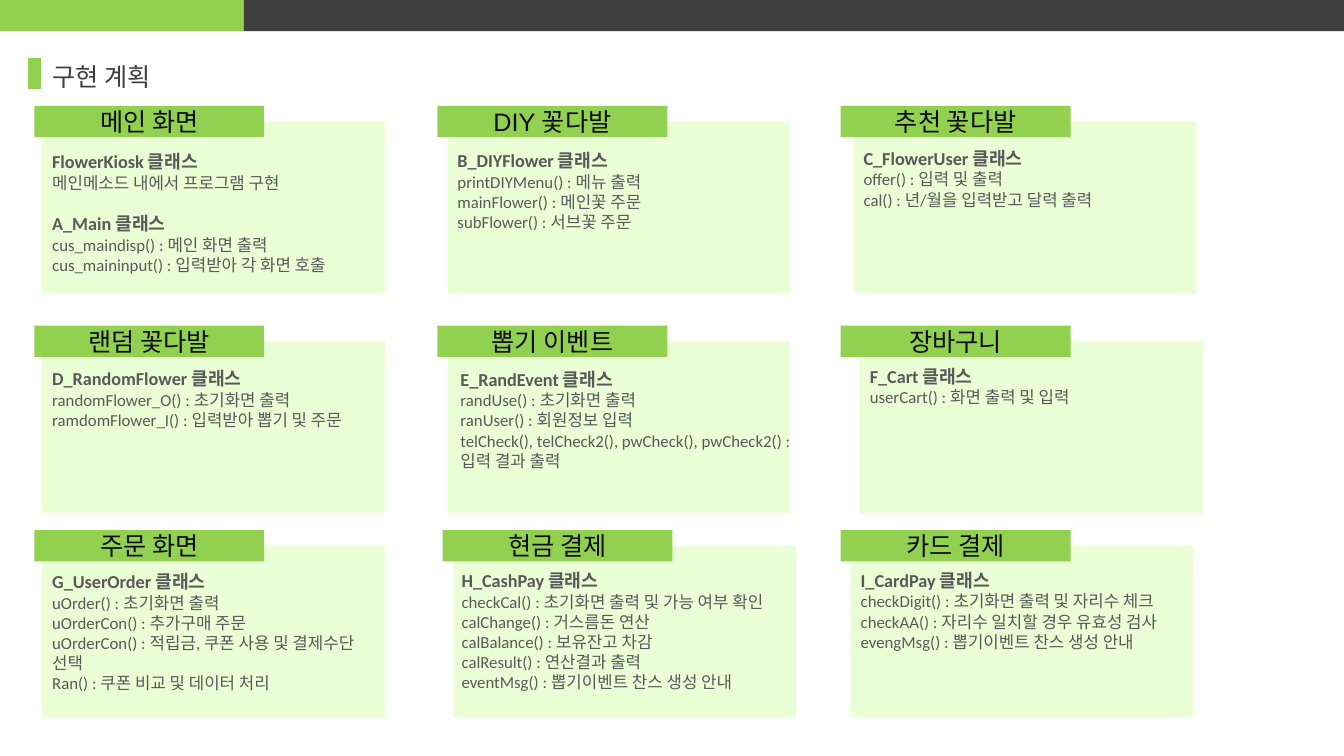
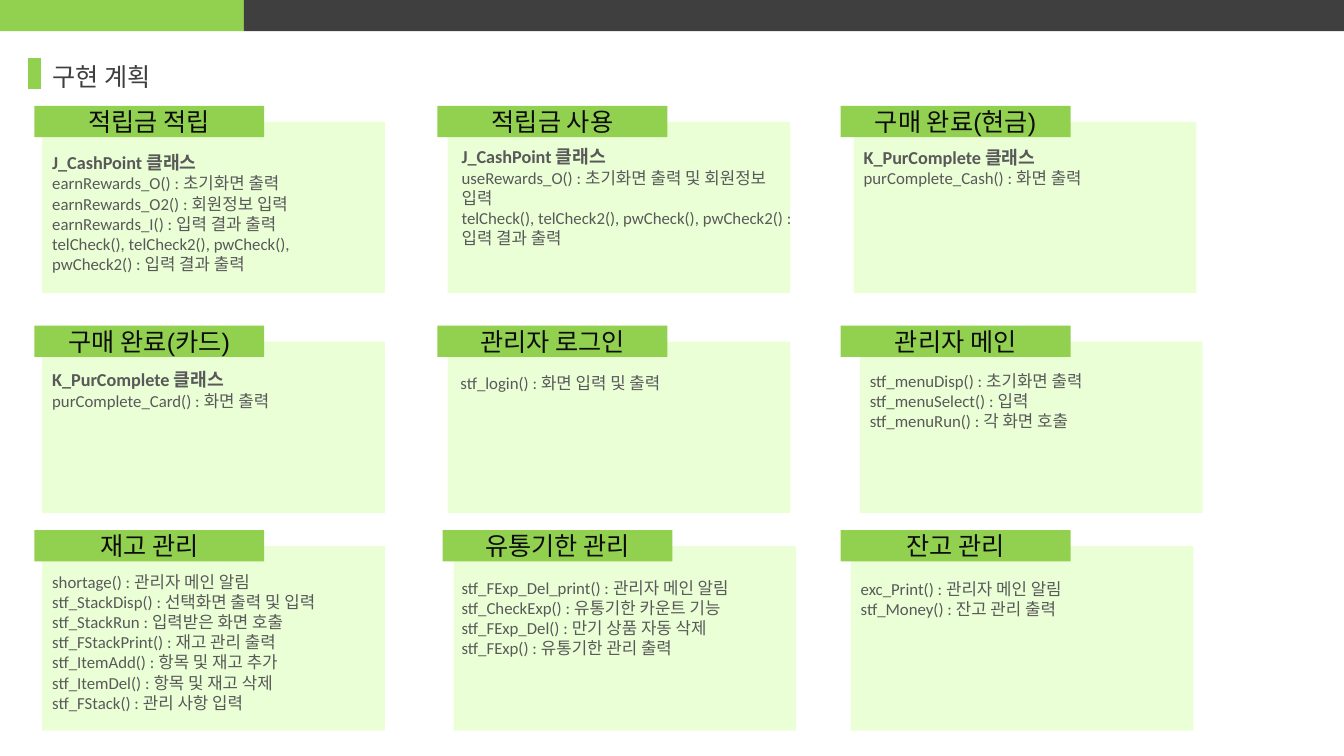
import pptx
import pptx.dml.color
import pptx.enum.shapes
import pptx.enum.text
import pptx.oxml.ns
import pptx.util
import lxml.etree

Pt = pptx.util.Pt
RGBColor = pptx.dml.color.RGBColor
ALIGN = pptx.enum.text.PP_ALIGN
MIDDLE = pptx.enum.text.MSO_ANCHOR.MIDDLE
qn = pptx.oxml.ns.qn

GREEN = RGBColor(0x92, 0xD0, 0x50)
PALE_GREEN = RGBColor(0xCC, 0xFF, 0x99)
CHARCOAL = RGBColor(0x3F, 0x3F, 0x3F)
BLACK = RGBColor(0x0C, 0x0C, 0x0C)
GREY = RGBColor(0x59, 0x59, 0x59)

TITLE = {"name": "Arial", "size": Pt(18), "color": CHARCOAL}
TAB = {"name": "Arial", "size": Pt(18), "color": BLACK}
CLASS_NAME = {"name": "Calibri", "size": Pt(13), "color": GREY, "bold": True}
METHOD = {"name": "Calibri", "size": Pt(12), "color": GREY, "bold": False}

WIDTH, HEIGHT = 960, 540
BAND_SPLIT, BAND_HEIGHT = 174.2, 22.3
TAB_WIDTH, TAB_HEIGHT = 164.2, 22.3
PANEL_WIDTH, PANEL_HEIGHT, PANEL_DROP = 244.8, 122.4, 11.5
LINE_GAP = 14.5
ROW_TOPS = (75.6, 232.6, 378.7)
TAB_LEFTS = ((24.5, 312.5, 600.5), (24.5, 312.5, 600.5), (24.5, 316.1, 600.5))
PANEL_LEFTS = ((30.2, 319.7, 609.8), (30.2, 319.7, 614.2), (30.2, 324, 607.7))


class Board:
    """Holds the deck, its style and the current slide."""

    def __init__(self):
        """Start an empty widescreen deck."""
        self.deck = pptx.Presentation()
        self.deck.slide_width, self.deck.slide_height = Pt(WIDTH), Pt(HEIGHT)
        self.page = None

    def rectangle(self, left, top, width, height, color, opacity=None):
        """Draw a plain filled rectangle, optionally see-through."""
        box = self.page.shapes.add_shape(
            pptx.enum.shapes.MSO_SHAPE.RECTANGLE,
            Pt(left), Pt(top), Pt(width), Pt(height))
        box.shadow.inherit = False
        box.line.fill.background()
        box.fill.solid()
        box.fill.fore_color.rgb = color
        if opacity is not None:
            tint = box._element.spPr.find(".//" + qn("a:srgbClr"))
            lxml.etree.SubElement(tint, qn("a:alpha"), val=str(opacity * 1000))
        return box

    def fill_text(self, box, lines, align=ALIGN.LEFT):
        """Fill a box with (text, format) lines, a gap before each later class."""
        frame = box.text_frame
        frame.word_wrap = True
        frame.vertical_anchor = MIDDLE
        for index, (text, style) in enumerate(lines):
            para = frame.add_paragraph() if index else frame.paragraphs[0]
            para.alignment = align
            if index and style is CLASS_NAME:
                para.space_before = Pt(LINE_GAP)
            span = para.add_run()
            span.text = text
            for key, value in style.items():
                if key == "color":
                    span.font.color.rgb = value
                else:
                    setattr(span.font, key, value)

    def text(self, left, top, width, height, lines):
        """Add a text box and return it."""
        box = self.page.shapes.add_textbox(
            Pt(left), Pt(top), Pt(width), Pt(height))
        self.fill_text(box, lines)
        return box

    def marker(self, left, top, bottom):
        """Draw the thick upright line beside the title."""
        line = self.page.shapes.add_connector(
            pptx.enum.shapes.MSO_CONNECTOR.STRAIGHT,
            Pt(left), Pt(top), Pt(left), Pt(bottom))
        line.line.color.rgb = GREEN
        line.line.width = Pt(9)
        lxml.etree.SubElement(line._element.spPr, qn("a:effectLst"))

    def new_page(self, title):
        """Start a slide with the top bands and the title."""
        self.page = self.deck.slides.add_slide(self.deck.slide_layouts[6])
        self.rectangle(0, 0, BAND_SPLIT, BAND_HEIGHT, GREEN)
        self.rectangle(BAND_SPLIT, 0, WIDTH - BAND_SPLIT, BAND_HEIGHT, CHARCOAL)
        frame = self.text(37.4, 23, 334, 63.4, [(title, TITLE)]).text_frame
        for side in ("left", "top", "right", "bottom"):
            setattr(frame, "margin_" + side, 0)
        self.marker(24.5, 41.8, 63.4)

    def card(self, row, column, panel_height, heading, area, lines):
        """Draw a panel, its heading tab and its list of methods."""
        top = ROW_TOPS[row]
        self.rectangle(PANEL_LEFTS[row][column], top + PANEL_DROP,
                       PANEL_WIDTH, panel_height, PALE_GREEN, opacity=40)
        tab = self.rectangle(TAB_LEFTS[row][column], top,
                             TAB_WIDTH, TAB_HEIGHT, GREEN)
        self.fill_text(tab, [(heading, TAB)], ALIGN.CENTER)
        self.text(*area, [
            (line, CLASS_NAME if line.endswith("클래스") else METHOD)
            for line in lines])


# Each card: heading, text area (left, top, width, height), lines
SCREENS = [
    ("메인 화면", (30.2, 104.4, 229, 95), [
        "FlowerKiosk 클래스",
        "메인메소드 내에서 프로그램 구현",
        "A_Main 클래스",
        "cus_maindisp() : 메인 화면 출력",
        "cus_maininput() : 입력받아 각 화면 호출"]),
    ("DIY 꽃다발", (319.7, 104.4, 272.9, 63.4), [
        "B_DIYFlower 클래스",
        "printDIYMenu() : 메뉴 출력",
        "mainFlower() : 메인꽃 주문",
        "subFlower() : 서브꽃 주문"]),
    ("추천 꽃다발", (609.8, 104.4, 272.9, 46.1), [
        "C_FlowerUser 클래스",
        "offer() : 입력 및 출력",
        "cal() : 년/월을 입력받고 달력 출력"]),
    ("랜덤 꽃다발", (30.2, 258.5, 272.9, 52.6), [
        "D_RandomFlower 클래스",
        "randomFlower_O() : 초기화면 출력",
        "ramdomFlower_I() : 입력받아 뽑기 및 주문"]),
    ("뽑기 이벤트", (321.8, 258.5, 272.9, 82.1), [
        "E_RandEvent 클래스",
        "randUse() : 초기화면 출력",
        "ranUser() : 회원정보 입력",
        "telCheck(), telCheck2(), pwCheck(), pwCheck2() : 입력 결과 출력"]),
    ("장바구니", (614.2, 258.5, 272.9, 34.6), [
        "F_Cart 클래스",
        "userCart() : 화면 출력 및 입력"]),
    ("주문 화면", (30.2, 410.4, 272.9, 82.1), [
        "G_UserOrder 클래스",
        "uOrder() : 초기화면 출력",
        "uOrderCon() : 추가구매 주문",
        "uOrderCon() : 적립금, 쿠폰 사용 및 결제수단",
        "선택",
        "Ran() : 쿠폰 비교 및 데이터 처리"]),
    ("현금 결제", (322.6, 409.7, 272.9, 82.1), [
        "H_CashPay 클래스",
        "checkCal() : 초기화면 출력 및 가능 여부 확인",
        "calChange() : 거스름돈 연산",
        "calBalance() : 보유잔고 차감",
        "calResult() : 연산결과 출력",
        "eventMsg() : 뽑기이벤트 찬스 생성 안내"]),
    ("카드 결제", (607.7, 409.7, 272.9, 52.6), [
        "I_CardPay 클래스",
        "checkDigit() : 초기화면 출력 및 자리수 체크",
        "checkAA() : 자리수 일치할 경우 유효성 검사",
        "evengMsg() : 뽑기이벤트 찬스 생성 안내"]),
]

ADMIN_SCREENS = [
    ("적립금 적립", (30.2, 104.4, 229, 95), [
        "J_CashPoint 클래스",
        "earnRewards_O() : 초기화면 출력",
        "earnRewards_O2() : 회원정보 입력",
        "earnRewards_I() : 입력 결과 출력",
        "telCheck(), telCheck2(), pwCheck(), pwCheck2() : 입력 결과 출력"]),
    ("적립금 사용", (322.6, 103, 272.9, 74.9), [
        "J_CashPoint 클래스",
        "useRewards_O() : 초기화면 출력 및 회원정보",
        "입력",
        "telCheck(), telCheck2(), pwCheck(), pwCheck2() : 입력 결과 출력"]),
    ("구매 완료(현금)", (609.8, 104.4, 272.9, 29.5), [
        "K_PurComplete 클래스",
        "purComplete_Cash() : 화면 출력"]),
    ("구매 완료(카드)", (30.2, 263.5, 272.9, 29.5), [
        "K_PurComplete 클래스",
        "purComplete_Card() : 화면 출력"]),
    ("관리자 로그인", (321.8, 258.5, 272.9, 29.5), [
        "stf_login() : 화면 입력 및 출력"]),
    ("관리자 메인", (614.2, 265.7, 272.9, 41), [
        "stf_menuDisp() : 초기화면 출력",
        "stf_menuSelect() : 입력",
        "stf_menuRun() : 각 화면 호출"]),
    ("재고 관리", (30.2, 417.6, 272.9, 82.1), [
        "shortage() : 관리자 메인 알림",
        "stf_StackDisp() : 선택화면 출력 및 입력",
        "stf_StackRun : 입력받은 화면 호출",
        "stf_FStackPrint() : 재고 관리 출력",
        "stf_ItemAdd() : 항목 및 재고 추가",
        "stf_ItemDel() : 항목 및 재고 삭제",
        "stf_FStack() : 관리 사항 입력"]),
    ("유통기한 관리", (322.6, 409.7, 272.9, 63.4), [
        "stf_FExp_Del_print() : 관리자 메인 알림",
        "stf_CheckExp() : 유통기한 카운트 기능",
        "stf_FExp_Del() : 만기 상품 자동 삭제",
        "stf_FExp() : 유통기한 관리 출력"]),
    ("잔고 관리", (607.7, 416.9, 272.9, 21.6), [
        "exc_Print() : 관리자 메인 알림",
        "stf_Money() : 잔고 관리 출력"]),
]


def main():
    """Build both slides and save the deck."""
    board = Board()
    for cards, last_height in ((SCREENS, PANEL_HEIGHT), (ADMIN_SCREENS, 131.8)):
        board.new_page("구현 계획")
        for index, card in enumerate(cards):
            row, column = divmod(index, 3)
            height = last_height if row == 2 else PANEL_HEIGHT
            board.card(row, column, height, *card)
    board.deck.save("out.pptx")


main()
